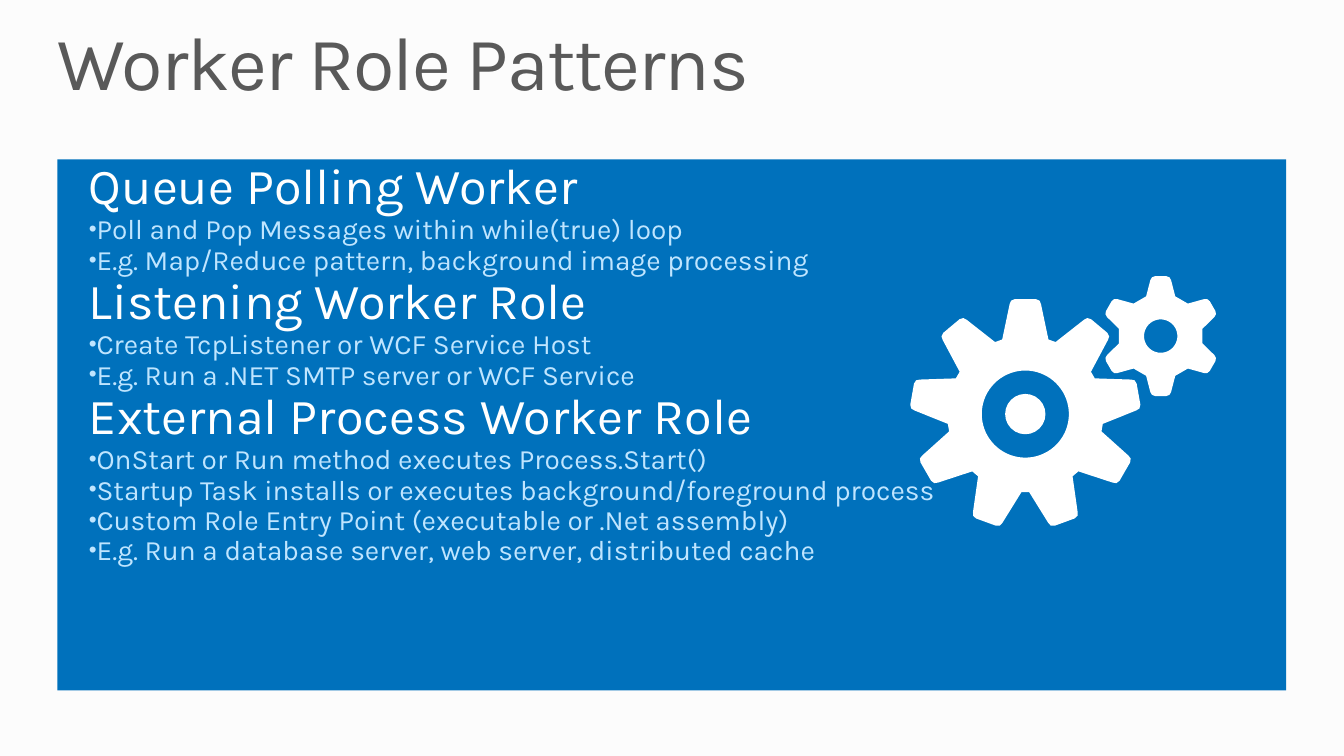
"""Build the Worker Role Patterns slide with its list panel and two gears."""
import math
from dataclasses import dataclass

import lxml.etree
import pptx
import pptx.dml.color
import pptx.enum.shapes
import pptx.enum.text
import pptx.oxml.ns
import pptx.shapes.base
import pptx.slide
import pptx.text.text
import pptx.util

Pt = pptx.util.Pt
RGBColor = pptx.dml.color.RGBColor
Point = tuple[float, float]

PAPER = RGBColor(0xFC, 0xFC, 0xFC)
BLUE = RGBColor(0x00, 0x71, 0xBC)
PALE_BLUE = RGBColor(0xBF, 0xE5, 0xFF)
GREY = RGBColor(0x59, 0x59, 0x59)
WHITE = RGBColor(0xFF, 0xFF, 0xFF)
FONT = "Karla"


@dataclass(frozen=True)
class Pattern:
    heading: str
    details: tuple[str, ...]


@dataclass(frozen=True)
class Box:
    left: float
    top: float
    width: float
    height: float


@dataclass(frozen=True)
class Gear:
    center: Point
    teeth: int
    half_tooth: tuple[Point, ...]
    hole_radius: float


PATTERNS = (
    Pattern("Queue Polling Worker", (
        "Poll and Pop Messages within while(true) loop",
        "E.g. Map/Reduce pattern, background image processing",
    )),
    Pattern("Listening Worker Role", (
        "Create TcpListener or WCF Service Host",
        "E.g. Run a .NET SMTP server or WCF Service",
    )),
    Pattern("External Process Worker Role", (
        "OnStart or Run method executes Process.Start()",
        "Startup Task installs or executes background/foreground process",
        "Custom Role Entry Point (executable or .Net assembly)",
        "E.g. Run a database server, web server, distributed cache",
    )),
)

PANEL = Box(41, 113.8, 877.7, 379.4)
TITLE = Box(41, 18, 877.7, 59)
BODY = Box(63.4, 115.2, 878.4, 388)
LARGE_GEAR = Gear((732.4, 295.8), 9,
                  ((16.5, 53.3), (11.2, 78.5), (10.2, 81), (7.6, 82.1)), 31.1)
SMALL_GEAR = Gear((829.1, 240.1), 6,
                  ((10.4, 28.4), (7.4, 40), (6.2, 42), (4, 42.8)), 11.9)
HUB_RADIUS = 14.4
HOLE_STEPS = 72


def place(shape: pptx.shapes.base.BaseShape, box: Box) -> None:
    shape.left, shape.top = Pt(box.left), Pt(box.top)
    shape.width, shape.height = Pt(box.width), Pt(box.height)


def paint(shape: pptx.shapes.base.BaseShape, color: RGBColor) -> None:
    shape.shadow.inherit = False
    shape.fill.solid()
    shape.fill.fore_color.rgb = color
    shape.line.fill.background()


def clear_frame(frame: pptx.text.text.TextFrame) -> None:
    frame.margin_left = frame.margin_top = frame.margin_right = frame.margin_bottom = 0
    frame.vertical_anchor = pptx.enum.text.MSO_ANCHOR.TOP
    frame.auto_size = pptx.enum.text.MSO_AUTO_SIZE.NONE
    frame.word_wrap = True


def write(paragraph: pptx.text.text._Paragraph, text: str, size: float,
          color: RGBColor) -> pptx.text.text._Run:
    paragraph.alignment = pptx.enum.text.PP_ALIGN.LEFT
    paragraph.line_spacing = 0.9
    paragraph.space_before = Pt(0)
    run = paragraph.add_run()
    run.text = text
    run.font.name = FONT
    run.font.size = Pt(size)
    run.font.color.rgb = color
    return run


def set_bullet(paragraph: pptx.text.text._Paragraph, bulleted: bool) -> None:
    properties = paragraph._p.get_or_add_pPr()
    properties.set("marL", "0")
    properties.set("indent", str(Pt(-26.64) if bulleted else 0))
    qn = pptx.oxml.ns.qn
    if bulleted:
        lxml.etree.SubElement(properties, qn("a:buSzPct"), val="80000")
        lxml.etree.SubElement(properties, qn("a:buChar"), char="•")
    else:
        lxml.etree.SubElement(properties, qn("a:buNone"))


def write_patterns(frame: pptx.text.text.TextFrame) -> None:
    for index, pattern in enumerate(PATTERNS):
        heading = frame.add_paragraph() if index else frame.paragraphs[0]
        set_bullet(heading, False)
        write(heading, pattern.heading, 36, WHITE)
        for text in pattern.details:
            detail = frame.add_paragraph()
            detail.level = 1
            set_bullet(detail, True)
            write(detail, text, 20, PALE_BLUE)


def gear_outline(gear: Gear) -> list[Point]:
    center_x, center_y = gear.center
    tooth = [(-x, r) for x, r in gear.half_tooth] + list(reversed(gear.half_tooth))
    outline = []
    for index in range(gear.teeth):
        turn = math.tau * index / gear.teeth
        for x, r in tooth:
            outline.append((center_x + x * math.cos(turn) + r * math.sin(turn),
                            center_y + x * math.sin(turn) - r * math.cos(turn)))
    return outline


def hole_outline(gear: Gear) -> list[Point]:
    center_x, center_y = gear.center
    angles = (-math.tau * step / HOLE_STEPS for step in range(HOLE_STEPS))
    return [(center_x + gear.hole_radius * math.cos(angle),
             center_y + gear.hole_radius * math.sin(angle)) for angle in angles]


def draw_gear(slide: pptx.slide.Slide, gear: Gear) -> None:
    rim, hole = ([(Pt(x), Pt(y)) for x, y in outline]
                 for outline in (gear_outline(gear), hole_outline(gear)))
    builder = slide.shapes.build_freeform(*rim[0])
    builder.add_line_segments(rim[1:], close=True)
    builder.move_to(*hole[0])
    builder.add_line_segments(hole[1:], close=True)
    paint(builder.convert_to_shape(), WHITE)


def draw_preset(slide: pptx.slide.Slide, kind: pptx.enum.shapes.MSO_SHAPE,
                box: Box, color: RGBColor) -> pptx.shapes.base.BaseShape:
    shape = slide.shapes.add_shape(kind, Pt(box.left), Pt(box.top),
                                   Pt(box.width), Pt(box.height))
    paint(shape, color)
    return shape


def main() -> None:
    deck = pptx.Presentation()
    deck.slide_width, deck.slide_height = Pt(960), Pt(540)
    slide = deck.slides.add_slide(deck.slide_layouts[1])
    slide.background.fill.solid()
    slide.background.fill.fore_color.rgb = PAPER

    panel = draw_preset(slide, pptx.enum.shapes.MSO_SHAPE.RECTANGLE, PANEL, BLUE)
    title, patterns = slide.shapes.title, slide.placeholders[1]
    title._element.addprevious(panel._element)

    place(title, TITLE)
    clear_frame(title.text_frame)
    heading = write(title.text_frame.paragraphs[0], "Worker Role Patterns", 54, GREY)
    heading.font._element.set("spc", "-100")

    place(patterns, BODY)
    clear_frame(patterns.text_frame)
    write_patterns(patterns.text_frame)

    draw_gear(slide, LARGE_GEAR)
    hub_x, hub_y = LARGE_GEAR.center
    hub = Box(hub_x - HUB_RADIUS, hub_y - HUB_RADIUS, 2 * HUB_RADIUS, 2 * HUB_RADIUS)
    draw_preset(slide, pptx.enum.shapes.MSO_SHAPE.OVAL, hub, WHITE)
    draw_gear(slide, SMALL_GEAR)
    deck.save("out.pptx")


if __name__ == "__main__":
    main()
